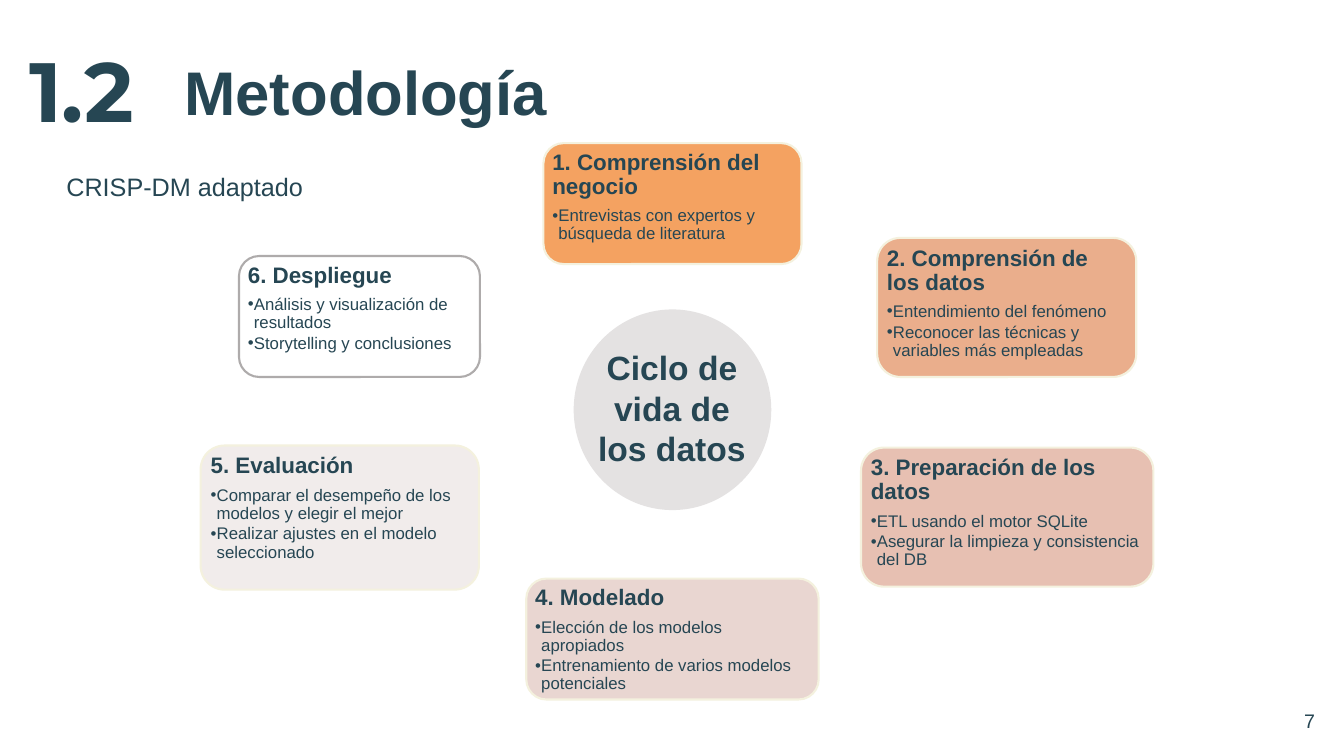
"""Builds the slide on the adapted CRISP-DM data life cycle."""
from lxml import etree
from pptx import Presentation
from pptx.dml.color import RGBColor
from pptx.enum.shapes import MSO_SHAPE
from pptx.enum.text import MSO_ANCHOR, PP_ALIGN
from pptx.oxml.ns import qn
from pptx.util import Inches, Pt

ROUND, OVAL = MSO_SHAPE.ROUNDED_RECTANGLE, MSO_SHAPE.OVAL
TOP, MIDDLE = MSO_ANCHOR.TOP, MSO_ANCHOR.MIDDLE
LEFT, CENTER, RIGHT = PP_ALIGN.LEFT, PP_ALIGN.CENTER, PP_ALIGN.RIGHT
INK = RGBColor(0x26, 0x46, 0x53)
CREAM = RGBColor(0xF4, 0xF1, 0xDE)
GRAY = RGBColor(0xAE, 0xAB, 0xAB)
PALE = RGBColor(0xE4, 0xE2, 0xE2)
ORANGE = RGBColor(0xF4, 0xA2, 0x61)
PEACH = RGBColor(0xEA, 0xAE, 0x8C)
ROSE = RGBColor(0xE7, 0xC0, 0xB2)
BLUSH = RGBColor(0xE9, 0xD6, 0xD1)
MIST = RGBColor(0xF1, 0xEC, 0xEB)
WHITE = RGBColor(0xFF, 0xFF, 0xFF)

TIGHT = {"alignment": LEFT, "line_spacing": 0.9}
LABELS = [
    ("Metodología", (1.73, 0.56, 7.78, 0.77), MIDDLE, TIGHT, {"size": Pt(44), "bold": True}),
    ("1.2", (0.19, 0.29, 1.73, 1.31), MIDDLE, TIGHT,
     {"size": Pt(60), "bold": True, "name": "Montserrat"}),
    ("CRISP-DM adaptado", (0.56, 1.65, 3.32, 0.71), TOP, {"alignment": LEFT}, {"size": Pt(18)}),
    ("7", (10.14, 6.95, 3, 0.4), MIDDLE, {"alignment": RIGHT}, {"size": Pt(14)}),
]
STEPS = [
    ("1. Comprensión del negocio", (5.39, 1.42, 2.56, 1.2), ORANGE, CREAM,
     ["Entrevistas con expertos y búsqueda de literatura"]),
    ("2. Comprensión de los datos", (8.7, 2.36, 2.57, 1.38), PEACH, CREAM,
     ["Entendimiento del fenómeno", "Reconocer las técnicas y variables más empleadas"]),
    ("3. Preparación de los datos", (8.54, 4.44, 2.9, 1.38), ROSE, CREAM,
     ["ETL usando el motor SQLite", "Asegurar la limpieza y consistencia del DB"]),
    ("4. Modelado", (5.22, 5.74, 2.9, 1.2), BLUSH, CREAM,
     ["Elección de los modelos apropiados", "Entrenamiento de varios modelos potenciales"]),
    ("5. Evaluación", (1.99, 4.42, 2.76, 1.43), MIST, CREAM,
     ["Comparar el desempeño de los modelos y elegir el mejor",
      "Realizar ajustes en el modelo seleccionado"]),
    ("6. Despliegue", (2.37, 2.54, 2.39, 1.2), WHITE, GRAY,
     ["Análisis y visualización de resultados", "Storytelling y conclusiones"]),
]
HUB = ("Ciclo de vida de los datos", (5.33, 3.12, 2.67, 1.85))
DISC = (5.69, 3.07, 1.96, 1.99)
SIDE, RISE = Inches(0.03), Inches(0.02)
INDENT = Inches(0.06)
HEAD = {**TIGHT, "space_after": Pt(5.6)}
ITEM = {**TIGHT, "space_after": Pt(1.8), "level": 1}


def apply(item, values):
    for key, value in values.items():
        setattr(item, key, value)


def write(para, text, look, form):
    run = para.add_run()
    run.text = text
    apply(para, form)
    apply(run.font, {"name": "Arial", "bold": False, **look})
    run.font.color.rgb = INK


def draw(slide, kind, box, fill=None, edge=None):
    shape = slide.shapes.add_shape(kind, *map(Inches, box))
    shape.shadow.inherit = False
    if fill is None:
        shape.fill.background()
    else:
        shape.fill.solid()
        shape.fill.fore_color.rgb = fill
    if edge is None:
        shape.line.fill.background()
    else:
        shape.line.color.rgb = edge
        shape.line.width = Pt(1.5)
    return shape


def bullet(para):
    props = para._p.get_or_add_pPr()
    props.set("marL", str(INDENT))
    props.set("indent", str(-INDENT))
    etree.SubElement(props, qn("a:buFont")).set("typeface", "Arial")
    etree.SubElement(props, qn("a:buChar")).set("char", "•")


def add_step(slide, title, box, fill, edge, items):
    frame = draw(slide, ROUND, box, fill, edge).text_frame
    apply(frame, {"word_wrap": True, "vertical_anchor": TOP, "margin_left": SIDE,
                  "margin_right": SIDE, "margin_top": RISE, "margin_bottom": RISE})
    write(frame.paragraphs[0], title, {"size": Pt(16), "bold": True}, HEAD)
    for text in items:
        para = frame.add_paragraph()
        bullet(para)
        write(para, text, {"size": Pt(12)}, ITEM)


def main():
    deck = Presentation()
    apply(deck, {"slide_width": Inches(13.33), "slide_height": Inches(7.5)})
    slide = deck.slides.add_slide(deck.slide_layouts[6])
    for text, box, anchor, form, look in LABELS:
        frame = slide.shapes.add_textbox(*map(Inches, box)).text_frame
        apply(frame, {"word_wrap": True, "vertical_anchor": anchor})
        write(frame.paragraphs[0], text, look, form)
    for step in STEPS:
        add_step(slide, *step)
    draw(slide, OVAL, DISC, PALE)
    text, box = HUB
    frame = draw(slide, OVAL, box).text_frame
    apply(frame, {"word_wrap": True, "vertical_anchor": MIDDLE})
    write(frame.paragraphs[0], text, {"size": Pt(24), "bold": True}, {"alignment": CENTER})
    deck.save("out.pptx")


if __name__ == "__main__":
    main()
